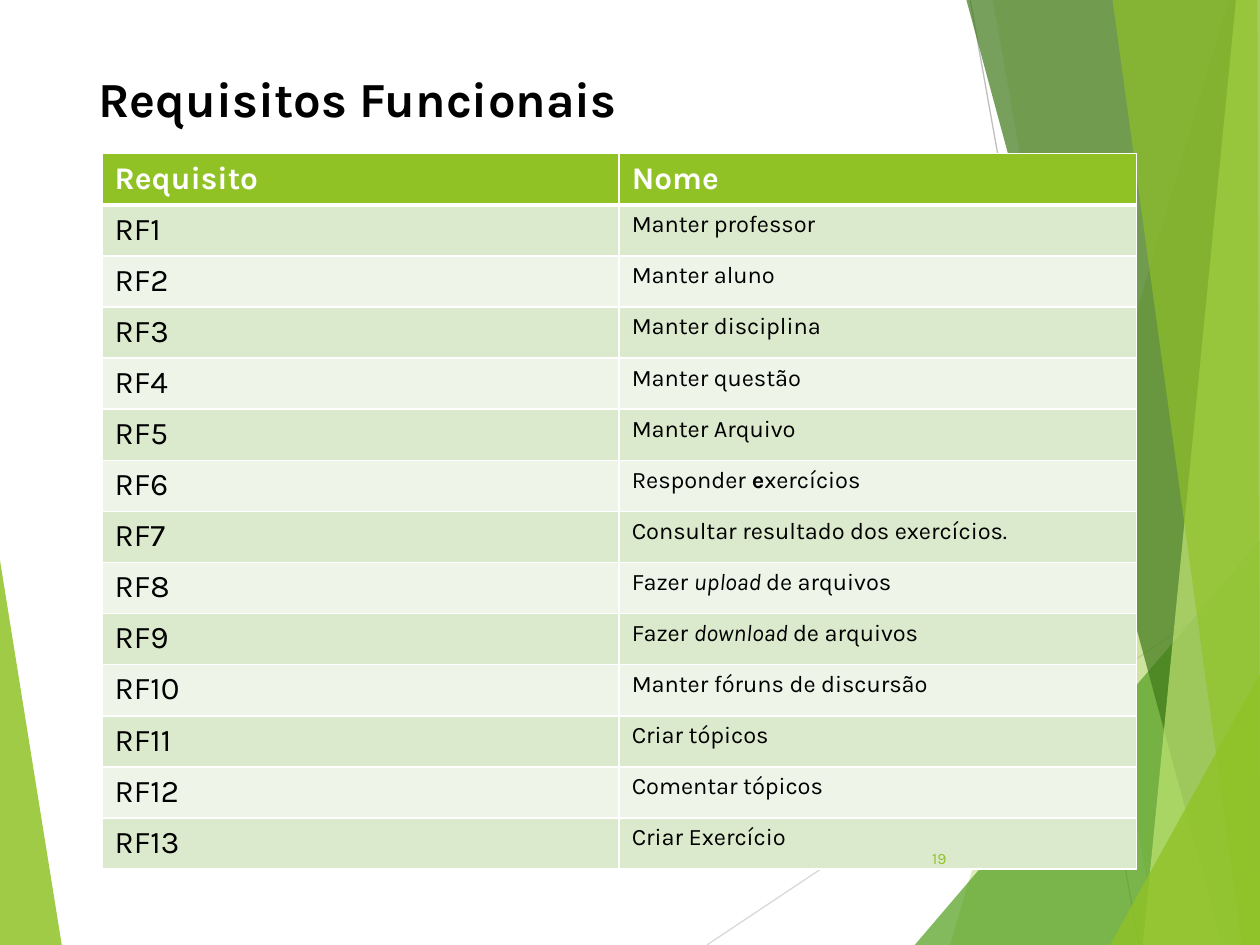
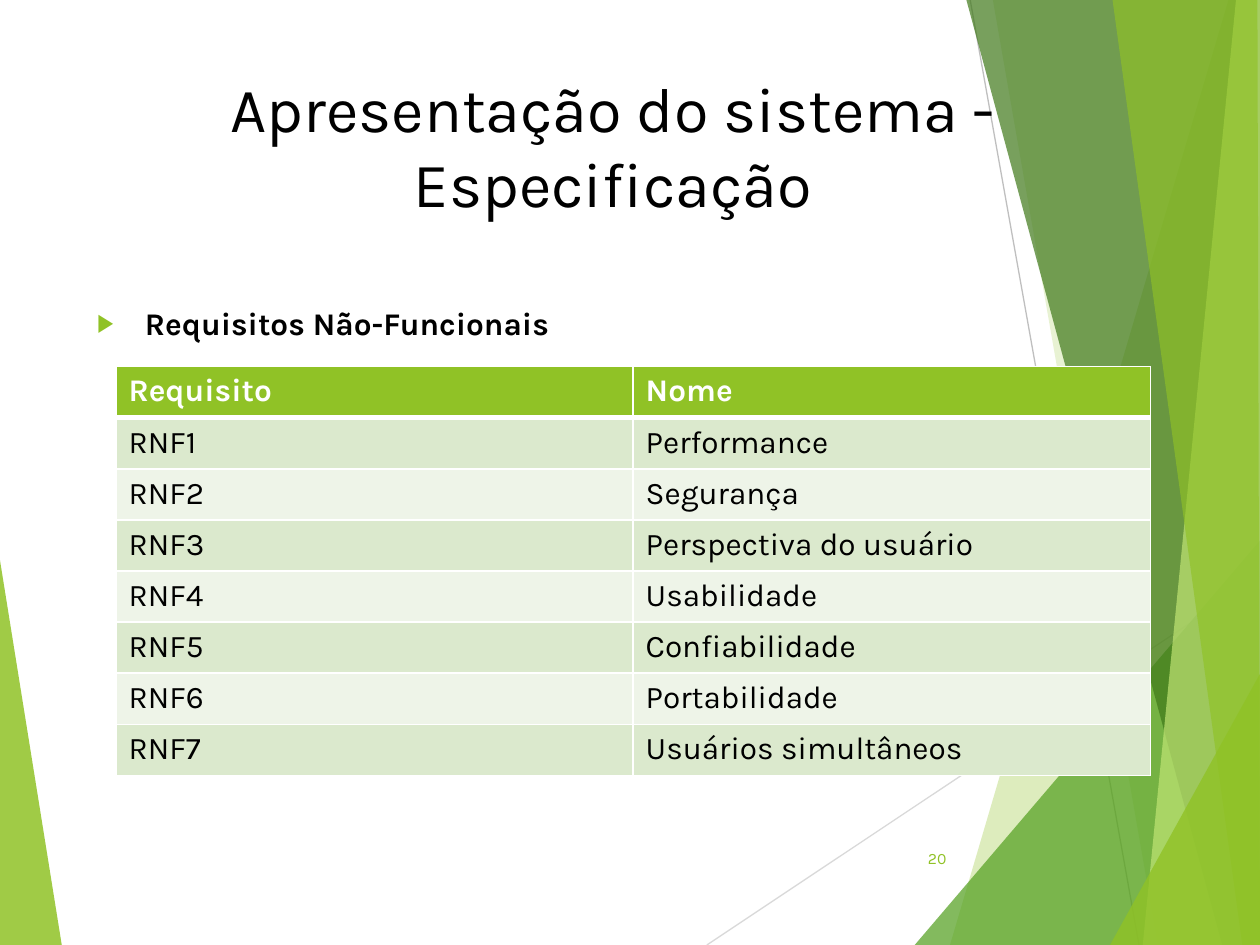
from pptx import Presentation
from pptx import util as u
from pptx.dml.color import RGBColor
from pptx.enum import shapes, text
from pptx.oxml import parse_xml
from pptx.oxml.ns import nsdecls, qn
from lxml import etree

WIDTH, HEIGHT = u.Inches(10), u.Inches(7.5)
FONT = "Karla"
LIME = RGBColor(0x90, 0xC2, 0x26)
GREEN = RGBColor(0x54, 0xA0, 0x21)
FOREST = RGBColor(0x3F, 0x78, 0x19)
PALE = RGBColor(0xC0, 0xE4, 0x74)
BANDS = RGBColor(0xDB, 0xE9, 0xCD), RGBColor(0xEE, 0xF4, 0xE8)
SILVER = RGBColor(0xD9, 0xD9, 0xD9)
GREY = RGBColor(0xBF, 0xBF, 0xBF)
BLACK = RGBColor(0, 0, 0)
WHITE = RGBColor(0xFF, 0xFF, 0xFF)

# Corners in percent of the slide's width and height
FACETS = [
    ([(97.5, 0), (75.4, 100), (100, 100), (100, 0)], LIME, 30),
    ([(78.8, 0), (91.9, 100), (100, 100), (100, 0)], LIME, 20),
    ([(72.6, 100), (100, 57.2), (100, 100)], GREEN, 72),
    ([(76.7, 0), (97, 100), (100, 100), (100, 0)], FOREST, 70),
    ([(98.1, 0), (90.7, 100), (100, 100), (100, 0)], PALE, 70),
    ([(88.3, 0), (98.6, 100), (100, 100), (99.8, 0)], LIME, 65),
    ([(88.1, 100), (100, 71.3), (100, 100)], LIME, 80),
]
WEDGE = [(0, 59.3), (4.9, 100), (0, 100)]

HEADER = ("Requisito", "Nome")
# A tuple holds: text before, marked text, text after, mark
TASKS = [
    "Manter professor", "Manter aluno", "Manter disciplina",
    "Manter questão", "Manter Arquivo",
    ("Responder", " e", "xercícios", "bold"),
    "Consultar resultado dos exercícios.",
    ("Fazer ", "upload ", "de arquivos", "italic"),
    ("Fazer ", "download ", "de arquivos", "italic"),
    "Manter fóruns de discursão", "Criar tópicos", "Comentar tópicos",
    "Criar Exercício",
]
TRAITS = [
    "Performance", "Segurança", "Perspectiva do usuário", "Usabilidade",
    "Confiabilidade", "Portabilidade", "Usuários simultâneos",
]


def point(x, y):
    """Turn percentages of the slide into lengths."""
    return round(WIDTH * x / 100), round(HEIGHT * y / 100)


def place(shape, left, top, width, height):
    shape.left, shape.top = point(left, top)
    shape.width, shape.height = point(width, height)


def style(para, size, color=BLACK, bold=False, align=None):
    font = para.font
    font.name, font.size, font.bold = FONT, u.Pt(size), bold
    font.color.rgb = color
    para.alignment = align


def facet(slide, corners, color, alpha):
    first, *rest = [point(*corner) for corner in corners]
    pen = slide.shapes.build_freeform(*first)
    pen.add_line_segments(rest, close=True)
    shape = pen.convert_to_shape()
    shape.shadow.inherit = False
    shape.line.fill.background()
    shape.fill.solid()
    shape.fill.fore_color.rgb = color
    tint = shape.element.spPr.find(qn("a:solidFill"))[0]
    etree.SubElement(tint, qn("a:alpha")).set("val", str(alpha * 1000))


def ray(slide, start, end, color):
    line = slide.shapes.add_connector(
        shapes.MSO_CONNECTOR.STRAIGHT, *point(*start), *point(*end))
    line.line.color.rgb = color
    line.line.width = u.Pt(0.75)
    etree.SubElement(line.element.spPr, qn("a:effectLst"))


def backdrop(slide, master):
    """Draw the facets, then move them behind the master's placeholders."""
    kept = len(slide.shapes)
    facet(slide, WEDGE, LIME, 85)
    ray(slide, (56.1, 100), (100, 61), SILVER)
    ray(slide, (77, 0), (90.4, 100), GREY)
    for corners, color, alpha in FACETS:
        facet(slide, corners, color, alpha)
    for i, shape in enumerate(list(slide.shapes)[kept:]):
        shape.element.xpath(".//p:cNvPr")[0].set("id", str(100 + i))
        master.shapes.element.insert(2 + i, shape.element)


def title(slide, words, box, size, bold, align):
    shape = slide.shapes.title
    place(shape, *box)
    frame = shape.text_frame
    frame.text = words
    frame.word_wrap = True
    frame.auto_size = text.MSO_AUTO_SIZE.NONE
    frame.vertical_anchor = text.MSO_ANCHOR.TOP
    style(frame.paragraphs[0], size, bold=bold, align=align)


def bullet(slide, words, box):
    shape = slide.placeholders[1]
    place(shape, *box)
    frame = shape.text_frame
    frame.text = words
    frame.auto_size = text.MSO_AUTO_SIZE.NONE
    para = frame.paragraphs[0]
    para.space_before = u.Pt(10)
    style(para, 18, bold=True, align=text.PP_ALIGN.JUSTIFY)
    props = para._p.get_or_add_pPr()
    indent = u.Inches(0.38)
    props.set("marL", str(indent))
    props.set("indent", str(-indent))
    marks = (f'<a:buClr {nsdecls("a")}><a:srgbClr val="{LIME}"/></a:buClr>',
             f'<a:buSzPct {nsdecls("a")} val="80000"/>',
             f'<a:buFont {nsdecls("a")} typeface="Arial"/>',
             f'<a:buChar {nsdecls("a")} char="▶"/>')
    for mark in marks:
        props.find(qn("a:defRPr")).addprevious(parse_xml(mark))


def border(cell, row):
    """White rules, thick between the header and the first row."""
    props = cell._tc.get_or_add_tcPr()
    thick = {0: "B", 1: "T"}.get(row)
    for side in "LRTB":
        width = u.Pt(3 if side == thick else 1)
        props.append(parse_xml(
            f'<a:ln{side} {nsdecls("a")} w="{width}"><a:solidFill>'
            f'<a:srgbClr val="{WHITE}"/></a:solidFill></a:ln{side}>'))


def fill(cell, words, row, size):
    border(cell, row)
    cell.fill.solid()
    cell.fill.fore_color.rgb = BANDS[(row - 1) % 2] if row else LIME
    para = cell.text_frame.paragraphs[0]
    style(para, size, BLACK if row else WHITE, bold=not row)
    if isinstance(words, str):
        para.add_run().text = words
        return
    *parts, mark = words
    for part in parts:
        para.add_run().text = part
    setattr(para.runs[1].font, mark, True)


def grid(slide, prefix, names, left, top, size):
    """List the names, numbered with a prefix, under the header."""
    rows = [HEADER] + [(f"{prefix}{i}", n) for i, n in enumerate(names, 1)]
    width, height = point(82.1, 5.41 * len(rows))
    table = slide.shapes.add_table(
        len(rows), 2, *point(left, top), width, height).table
    for r, (code, name) in enumerate(rows):
        fill(table.cell(r, 0), code, r, 18)
        fill(table.cell(r, 1), name, r, size if r else 18)


def number(slide, value):
    shape = slide.shapes.add_textbox(0, 0, 0, 0)
    place(shape, 70.5, 88.13, 5.6, 5.33)
    frame = shape.text_frame
    frame.word_wrap = True
    frame.vertical_anchor = text.MSO_ANCHOR.MIDDLE
    frame.text = str(value)
    style(frame.paragraphs[0], 9, LIME, align=text.PP_ALIGN.RIGHT)


def main():
    prs = Presentation()
    prs.slide_width, prs.slide_height = WIDTH, HEIGHT
    plain, listed = prs.slide_layouts[5], prs.slide_layouts[1]

    slide = prs.slides.add_slide(plain)
    backdrop(slide, prs.slide_master)
    title(slide, "Requisitos Funcionais", (6.8, 6.53, 44.1, 7.6), 28, True,
          text.PP_ALIGN.JUSTIFY)
    grid(slide, "RF", TASKS, 8.1, 16.27, 13.5)
    number(slide, 19)

    slide = prs.slides.add_slide(listed)
    title(slide, "Apresentação do sistema - Especificação",
          (6.7, 6.67, 83.9, 19.2), 36, False, text.PP_ALIGN.CENTER)
    bullet(slide, "Requisitos Não-Funcionais", (6.7, 31.47, 90.2, 56.53))
    grid(slide, "RNF", TRAITS, 9.2, 38.8, 18)
    number(slide, 20)

    prs.save("out.pptx")


if __name__ == "__main__":
    main()
